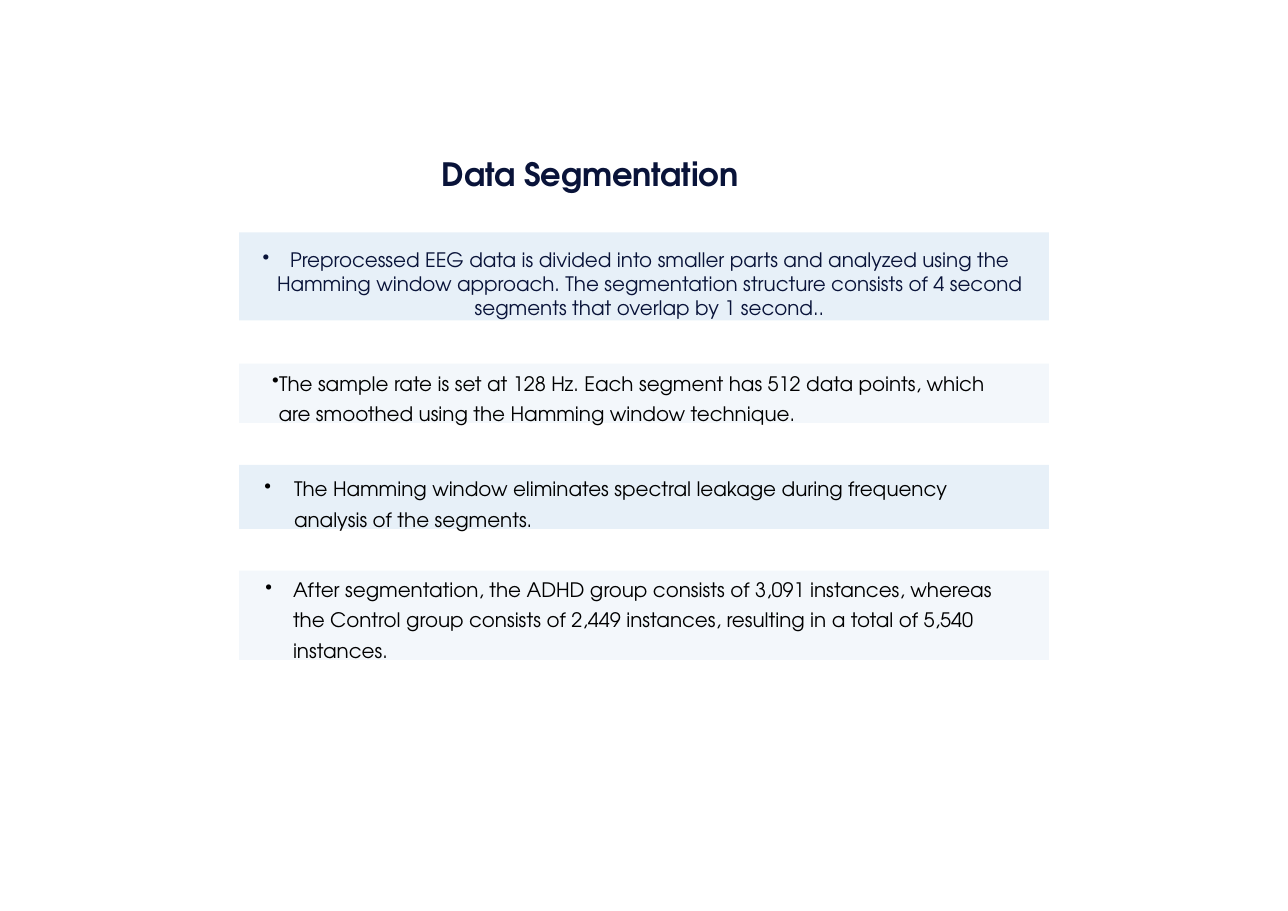
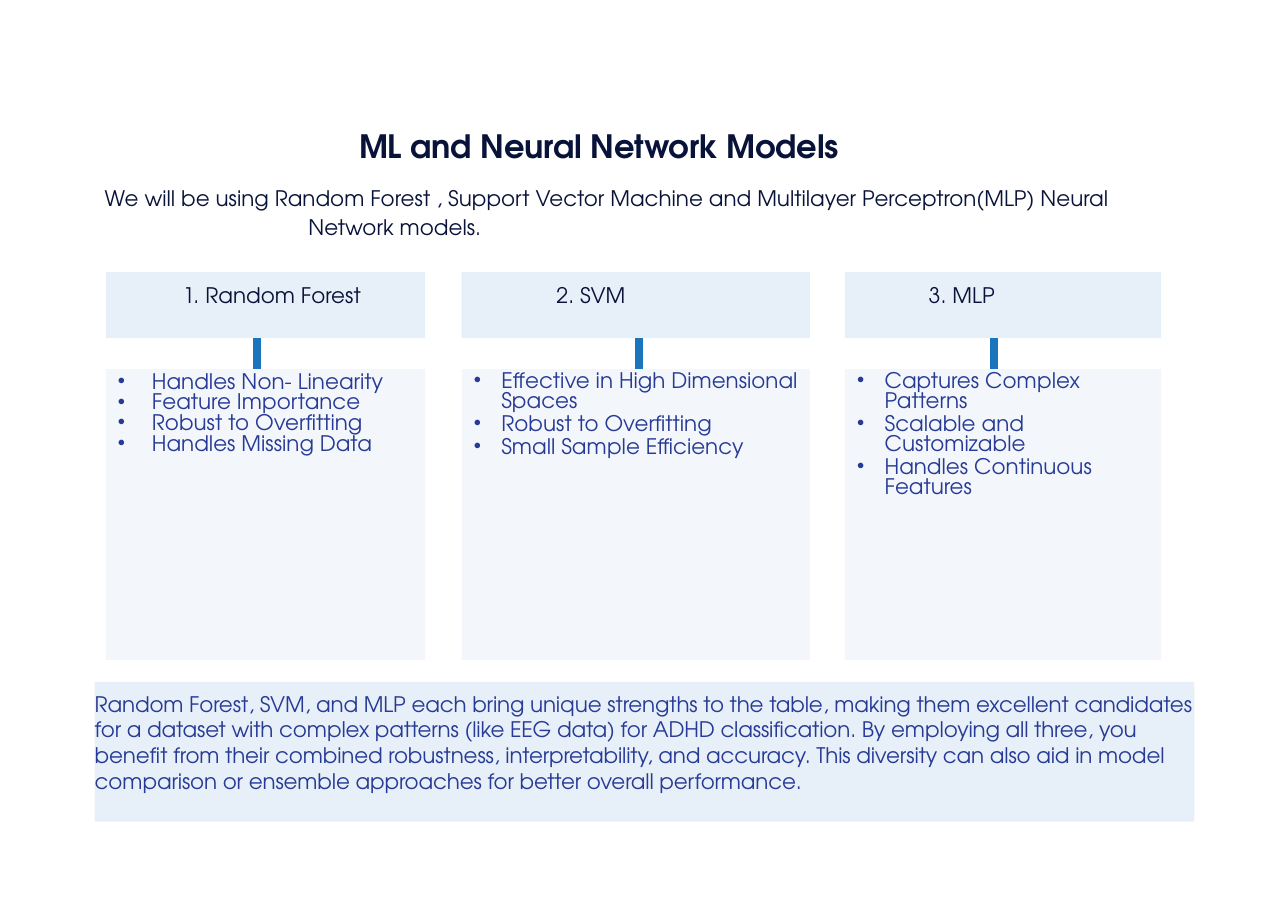
"""Builds two slides on EEG data segmentation and the models used."""
from lxml.etree import SubElement
from pptx import Presentation
from pptx.dml.color import RGBColor
from pptx.enum.shapes import MSO_SHAPE as SHAPE
from pptx.enum.text import MSO_ANCHOR as ANCHOR, PP_ALIGN as ALIGN
from pptx.oxml.ns import qn
from pptx.util import Pt

FONT = "TeX Gyre Adventor"
NAVY = RGBColor(0x09, 0x13, 0x39)
INDIGO = RGBColor(0x27, 0x3A, 0x95)
BLACK = RGBColor(0, 0, 0)
BLUE = RGBColor(0x1B, 0x75, 0xBC)
STRONG, SOFT = 10, 5
NO_GRID = "{2D5ABB26-0587-4C30-8999-92F81FD0307C}"

TITLE = dict(size=21, color=NAVY, bold=True, track=-10)
BODY = dict(size=13, color=BLACK, bullet=True)
HEAD = dict(size=14, color=NAVY)
LIST = dict(size=14, color=INDIGO, bullet=True)
TIGHT = dict(LIST, left=25.9, first=-18, line_spacing=Pt(13), space_before=Pt(2.1))

BAND_X, BAND_W = 156.2, 529.2
BANDS = [
    (151.9, 57.6, STRONG, (10, 11),
     "Preprocessed EEG data is divided into smaller parts and analyzed using the Hamming window approach. The segmentation structure consists of 4 second segments that overlap by 1 second..",
     dict(BODY, color=NAVY, left=18, first=-18, alignment=ALIGN.CENTER)),
    (237.6, 38.9, SOFT, (0.7, 29),
     "The sample rate is set at 128 Hz. Each segment has 512 data points, which are smoothed using the Hamming window technique.",
     dict(BODY, left=25.9, first=-4.3, line_spacing=1.28)),
    (303.8, 41.8, STRONG, (3.6, 29),
     "The Hamming window eliminates spectral leakage during frequency analysis of the segments.",
     dict(BODY, left=36, first=-19.4, line_spacing=1.28)),
    (373, 58.3, SOFT, (0, 29),
     "After segmentation, the ADHD group consists of 3,091 instances, whereas the Control group consists of 2,449 instances, resulting in a total of 5,540 instances.",
     dict(BODY, left=35.3, first=-18, line_spacing=Pt(20))),
]

TABLE_Y, ROWS = 177.8, (43.2, 20.2, 190.1)
MODELS = [
    (69.1, (98.6, 110.2), "1. Random Forest", 50.4,
     ["Handles Non- Linearity", "Feature Importance", "Robust to Overfitting", "Handles Missing Data"],
     dict(LIST, left=30.2, first=-22.3, line_spacing=1.05)),
    (301.7, (115.9, 111.6), "2. SVM", 61.9,
     ["Effective in High Dimensional Spaces", "Robust to Overfitting", "Small Sample Efficiency"], TIGHT),
    (552.2, (97.2, 109.4), "3. MLP", 54.7,
     ["Captures Complex Patterns", "Scalable and Customizable", "Handles Continuous Features"], TIGHT),
]
INTRO = "We will be using Random Forest , Support Vector Machine and Multilayer Perceptron(MLP) Neural Network models."
SUMMARY = ("Random Forest, SVM, and MLP each bring unique strengths to the table, making them excellent candidates "
           "for a dataset with complex patterns (like EEG data) for ADHD classification. By employing all three, you "
           "benefit from their combined robustness, interpretability, and accuracy. This diversity can also aid in "
           "model comparison or ensemble approaches for better overall performance.")


def set_margins(target, top=0, right=0):
    margins = dict(margin_left=0, margin_top=top, margin_right=right, margin_bottom=0)
    for name, value in margins.items():
        setattr(target, name, Pt(value))


def write(tf, lines, size, color, bold=False, track=0, bullet=False, left=0, first=0, **formats):
    for i, line in enumerate(lines):
        p = tf.add_paragraph() if i else tf.paragraphs[0]
        for name, value in dict(dict(alignment=ALIGN.LEFT), **formats).items():
            setattr(p, name, value)
        pPr = p._p.get_or_add_pPr()
        pPr.set("marL", str(int(Pt(left))))
        pPr.set("indent", str(int(Pt(first))))
        if bullet:
            SubElement(pPr, qn("a:buChar")).set("char", "•")
        r = p.add_run()
        r.text = line
        for name, value in dict(name=FONT, size=Pt(size), bold=bold).items():
            setattr(r.font, name, value)
        r.font.color.rgb = color
        if track:
            r._r.get_or_add_rPr().set("spc", str(track))


def tint(fill, percent):
    fill.solid()
    fill.fore_color.rgb = BLUE
    color = fill._xPr.find(qn("a:solidFill"))[0]
    SubElement(color, qn("a:alpha")).set("val", str(percent * 1000))


def add_text(s, box, text, style, top=0.7):
    tf = s.shapes.add_textbox(*map(Pt, box)).text_frame
    tf.word_wrap = True
    set_margins(tf, top)
    write(tf, [text], **style)


def add_band(s, box, percent, margins, text, style):
    sp = s.shapes.add_shape(SHAPE.RECTANGLE, *map(Pt, box))
    sp.shadow.inherit = False
    sp.line.fill.background()
    tint(sp.fill, percent)
    tf = sp.text_frame
    tf.word_wrap = True
    tf.vertical_anchor = ANCHOR.TOP
    set_margins(tf, *margins)
    write(tf, [text], **style)


def add_stem(cell, side):
    set_margins(cell)
    SubElement(cell.text_frame.paragraphs[0]._p, qn("a:endParaRPr")).set("sz", "600")
    tcPr = cell._tc.get_or_add_tcPr()
    ln = SubElement(tcPr, qn("a:" + side))
    ln.set("w", str(int(Pt(6))))
    SubElement(SubElement(ln, qn("a:solidFill")), qn("a:srgbClr")).set("val", str(BLUE))
    cell.fill.background()


def add_model(s, x, widths, head, indent, points, style):
    frame = s.shapes.add_table(len(ROWS), 2, Pt(x), Pt(TABLE_Y), Pt(sum(widths)), Pt(sum(ROWS)))
    table = frame.table
    table.first_row = table.horz_banding = False
    table._tbl.tblPr.find(qn("a:tableStyleId")).text = NO_GRID
    for column, width in zip(table.columns, widths):
        column.width = Pt(width)
    for row, height in zip(table.rows, ROWS):
        row.height = Pt(height)
    for row, percent, top, lines, look in (
        (0, STRONG, 10.5, [head], dict(HEAD, left=indent)),
        (2, SOFT, 2.2, points, style),
    ):
        cell = table.cell(row, 0)
        cell.merge(table.cell(row, 1))
        set_margins(cell, top)
        tint(cell.fill, percent)
        write(cell.text_frame, lines, **look)
    for column, side in enumerate(("lnR", "lnL")):
        add_stem(table.cell(1, column), side)


def main():
    prs = Presentation()
    prs.slide_width, prs.slide_height = Pt(841.7), Pt(595.4)
    blank = prs.slide_layouts[6]

    s = prs.slides.add_slide(blank)
    add_text(s, (288.7, 100.1, 251.3, 26.6), "Data Segmentation", TITLE)
    for y, height, percent, margins, text, style in BANDS:
        add_band(s, (BAND_X, y, BAND_W, height), percent, margins, text, style)

    s = prs.slides.add_slide(blank)
    for model in MODELS:
        add_model(s, *model)
    add_text(s, (234.7, 82.1, 383.8, 26.6), "ML and Neural Network Models", TITLE)
    add_text(s, (67, 118.1, 673.2, 37.4), INTRO, dict(HEAD, left=134.6, first=-133.2, line_spacing=1.13))
    add_band(s, (61.9, 445.7, 718.6, 91.4), STRONG, (5.8, 0), SUMMARY,
             dict(size=14, color=INDIGO, track=-10))
    prs.save("out.pptx")


if __name__ == "__main__":
    main()
